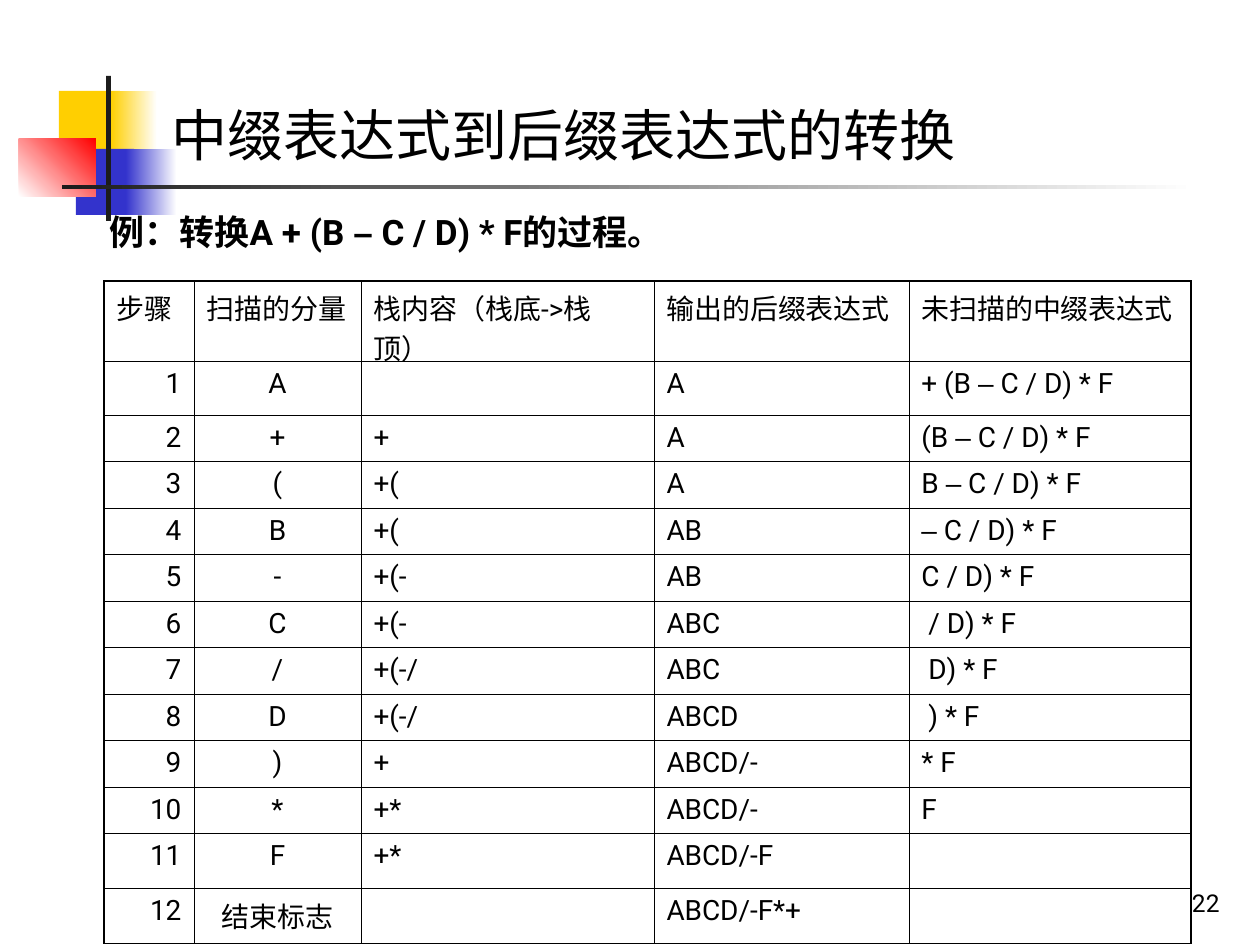
from itertools import accumulate

from lxml import etree
from pptx import Presentation
from pptx.dml.color import RGBColor
from pptx.enum.shapes import MSO_CONNECTOR, MSO_SHAPE
from pptx.enum.text import MSO_ANCHOR, MSO_AUTO_SIZE, PP_ALIGN
from pptx.oxml.ns import qn
from pptx.util import Pt

PX = 914400 // 126
RECT, LINE = MSO_SHAPE.RECTANGLE, MSO_CONNECTOR.STRAIGHT
LEFT, MID, RIGHT = PP_ALIGN.LEFT, PP_ALIGN.CENTER, PP_ALIGN.RIGHT
TOP, CENTRE, BOTTOM = MSO_ANCHOR.TOP, MSO_ANCHOR.MIDDLE, MSO_ANCHOR.BOTTOM
BLACK = RGBColor(0, 0, 0)
WHITE = RGBColor(255, 255, 255)
YELLOW = RGBColor(0xFF, 0xCF, 0x01)
BLUE = RGBColor(0x33, 0x33, 0xCC)
RED = RGBColor(255, 0, 0)
DARK = RGBColor(0x1C, 0x1C, 0x1C)
SANS, CJK, DASH = "Roboto", "Noto Sans CJK JP", "–"
THICK, THIN = 1.08, 0.45

COLS = [90, 167, 293, 255, 282]
ALIGNS = [RIGHT, MID, LEFT, LEFT, LEFT]
HEAD = ["步骤", "扫描的分量", "栈内容（栈底->栈顶）", "输出的后缀表达式", "未扫描的中缀表达式"]
STEPS = [
    ("A", "", "A", "+ (B – C / D) * F"),
    ("+", "+", "A", "(B – C / D) * F"),
    ("(", "+(", "A", "B – C / D) * F"),
    ("B", "+(", "AB", "– C / D) * F"),
    ("-", "+(-", "AB", "C / D) * F"),
    ("C", "+(-", "ABC", " / D) * F"),
    ("/", "+(-/", "ABC", " D) * F"),
    ("D", "+(-/", "ABCD", " ) * F"),
    (")", "+", "ABCD/-", "* F"),
    ("*", "+*", "ABCD/-", "F"),
    ("F", "+*", "ABCD/-F", ""),
    ("结束标志", "", "ABCD/-F*+", ""),
]


def scale(box):
    """Turn a box in px into EMU."""
    return [n * PX for n in box]


def write(frame, text, size=16, bold=False, font=SANS, align=LEFT, anchor=TOP):
    """Fill a text frame with one paragraph, its dashes set in Arial."""
    frame.word_wrap = True
    frame.vertical_anchor = anchor
    para = frame.paragraphs[0]
    para.alignment = align
    for part in filter(None, text.partition(DASH)):
        run = para.add_run()
        run.text = part
        run.font.name = "Arial" if part == DASH else font
        run.font.size, run.font.bold = Pt(size), bold
        run.font.color.rgb = BLACK
        latin = run.font._element.find(qn("a:latin"))
        east = etree.Element(qn("a:ea"), typeface=CJK)
        latin.addnext(east)
    return para


def block(slide, box, first, last=None, angle=0):
    """Draw a plain or graded rectangle without outline."""
    shape = slide.shapes.add_shape(RECT, *scale(box))
    shape.shadow.inherit = False
    shape.line.fill.background()
    if last is None:
        shape.fill.solid()
        shape.fill.fore_color.rgb = first
        return
    shape.fill.gradient()
    shape.fill.gradient_angle = angle
    for stop, color, place in zip(shape.fill.gradient_stops, (first, last), (0, 1)):
        stop.color.rgb = color
        stop.position = place


def motif(slide, x, y):
    """Draw the coloured squares and the crossed bars."""
    block(slide, (x + 40, y + 15, 61, 66), YELLOW)
    block(slide, (x + 92, y + 15, 46, 66), YELLOW, WHITE)
    block(slide, (x + 57, y + 73, 58, 66), BLUE)
    block(slide, (x + 107, y + 73, 51, 66), BLUE, WHITE)
    block(slide, (x, y + 63, 77, 58), WHITE, RED, angle=45)
    block(slide, (x + 87, y, 5, 145), DARK)
    block(slide, (x + 43, y + 109, 1134, 4), DARK, WHITE)


def title(slide, box):
    """Place the title above the motif."""
    shape = slide.shapes.title
    shape.left, shape.top, shape.width, shape.height = scale(box)
    slide.shapes._spTree.append(shape._element)
    shape.text_frame.auto_size = MSO_AUTO_SIZE.NONE
    write(shape.text_frame, "中缀表达式到后缀表达式的转换", size=32, font=CJK, anchor=CENTRE)


def label(slide, box, text, **form):
    """Add a text box."""
    return write(slide.shapes.add_textbox(*scale(box)).text_frame, text, **form)


def dot(slide, x, y):
    """Draw a line of no length."""
    line = slide.shapes.add_connector(LINE, x * PX, y * PX, x * PX, y * PX)
    line.line.color.rgb, line.line.width = BLACK, Pt(0.75)
    etree.SubElement(line._element.spPr, qn("a:effectLst"))


def edge(cell, widths):
    """Set the left, right, top and bottom borders of a cell."""
    props = cell._tc.get_or_add_tcPr()
    for side, width in zip("LRTB", widths):
        line = etree.SubElement(props, qn(f"a:ln{side}"), w=str(Pt(width)))
        fill = etree.SubElement(line, qn("a:solidFill"))
        etree.SubElement(fill, qn("a:srgbClr"), val=str(BLACK))


def steps(slide, x, y):
    """Build the table of conversion steps."""
    rows = [HEAD] + [(str(n), *step) for n, step in enumerate(STEPS, 1)]
    tall = scale([80, 54]) + [419 * PX // 9] * 9 + scale([55, 55])
    size = sum(COLS) * PX, list(accumulate(tall))[-1]
    table = slide.shapes.add_table(len(rows), len(COLS), x * PX, y * PX, *size).table
    table.first_row = table.horz_banding = False
    for col, width in zip(table.columns, COLS):
        col.width = width * PX
    for r, texts in enumerate(rows):
        table.rows[r].height = tall[r]
        for c, text in enumerate(texts):
            cell = table.cell(r, c)
            outer = (c == 0, c == len(COLS) - 1, r == 0, r == len(rows) - 1)
            edge(cell, [THICK if out else THIN for out in outer])
            cell.fill.background()
            write(cell.text_frame, text, align=ALIGNS[c] if r else LEFT)


def main():
    """Build and save the slide."""
    deck = Presentation()
    deck.slide_width, deck.slide_height = scale((1260, 945))
    slide = deck.slides.add_slide(deck.slide_layouts[5])
    motif(slide, 19, 76)
    title(slide, (159, 94, 1101, 81))
    dot(slide, 746, 590)
    para = label(slide, (97, 204, 1116, 71), "例：转换A + (B – C / D) * F的过程。", size=20, bold=True)
    props = para._p.get_or_add_pPr()
    props.set("marL", str(48 * PX))
    props.set("indent", str(-48 * PX))
    steps(slide, 104, 281)
    label(slide, (970, 861, 262, 63), "22", size=14, align=RIGHT, anchor=BOTTOM)
    deck.save("out.pptx")


if __name__ == "__main__":
    main()
